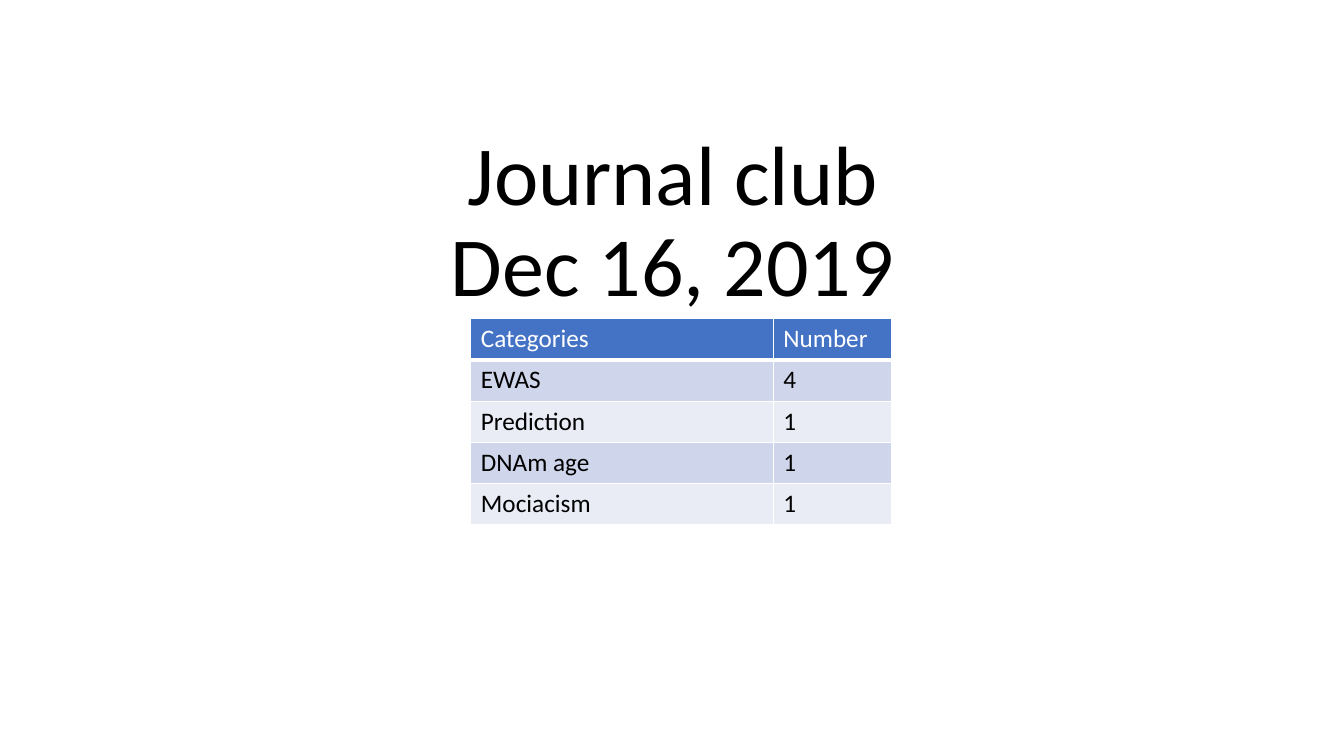
from lxml import etree
from pptx import Presentation
from pptx.dml.color import RGBColor
from pptx.enum import text
from pptx.oxml import ns
from pptx.util import Inches, Pt

HUES = {"ink": "000000", "white": "FFFFFF", "head": "4472C4",
        "dark": "CFD5EA", "light": "E9EBF5"}
ROWS = [("Categories", "Number"), ("EWAS", "4"), ("Prediction", "1"),
        ("DNAm age", "1"), ("Mociacism", "1")]
COLS = (3, 1.17)
ROW_H = 0.41


def hue(name):
    """Return the named colour."""
    return RGBColor.from_string(HUES[name])


def style(para, size, color):
    """Set the font of a paragraph."""
    font = para.font
    font.name, font.size, font.bold = "Calibri", Pt(size), False
    font.color.rgb = hue(color)


def add_title(slide, words, left, top, width, height):
    """Add the centred title, resting on the bottom of its box."""
    box = slide.shapes.add_textbox(
        Inches(left), Inches(top), Inches(width), Inches(height))
    frame = box.text_frame
    frame.word_wrap = True
    frame.vertical_anchor = text.MSO_ANCHOR.BOTTOM
    para = frame.paragraphs[0]
    para.text = words
    para.alignment = text.PP_ALIGN.CENTER
    para.line_spacing = 0.9
    style(para, 60, "ink")


def add_edges(cell, base):
    """Draw white cell borders, with the given bottom width in points."""
    props = cell._tc.get_or_add_tcPr()
    for side, width in (("L", 1), ("R", 1), ("T", 1), ("B", base)):
        line = etree.SubElement(props, ns.qn(f"a:ln{side}"), w=str(Pt(width)))
        fill = etree.SubElement(line, ns.qn("a:solidFill"))
        etree.SubElement(fill, ns.qn("a:srgbClr"), val=HUES["white"])


def fill_cell(cell, words, row):
    """Write one cell and colour it by its row."""
    cell.text = words
    style(cell.text_frame.paragraphs[0], 18, "ink" if row else "white")
    add_edges(cell, 1 if row else 3)
    cell.fill.solid()
    band = "dark" if row % 2 else "light"
    cell.fill.fore_color.rgb = hue(band if row else "head")


def add_grid(slide, left, top):
    """Add the table of paper counts."""
    grid = slide.shapes.add_table(
        len(ROWS), len(COLS), Inches(left), Inches(top),
        Inches(sum(COLS)), Inches(ROW_H * len(ROWS))).table
    for col, width in zip(grid.columns, COLS):
        col.width = Inches(width)
    for i, row in enumerate(ROWS):
        grid.rows[i].height = Inches(ROW_H)
        for j, words in enumerate(row):
            fill_cell(grid.cell(i, j), words, i)


def main():
    """Build and save the slide."""
    deck = Presentation()
    deck.slide_width, deck.slide_height = Inches(13.33), Inches(7.5)
    slide = deck.slides.add_slide(deck.slide_layouts[6])
    add_title(slide, "Journal club\nDec 16, 2019", 1.67, 0.56, 10, 2.61)
    add_grid(slide, 4.67, 3.16)
    deck.save("out.pptx")


if __name__ == "__main__":
    main()
